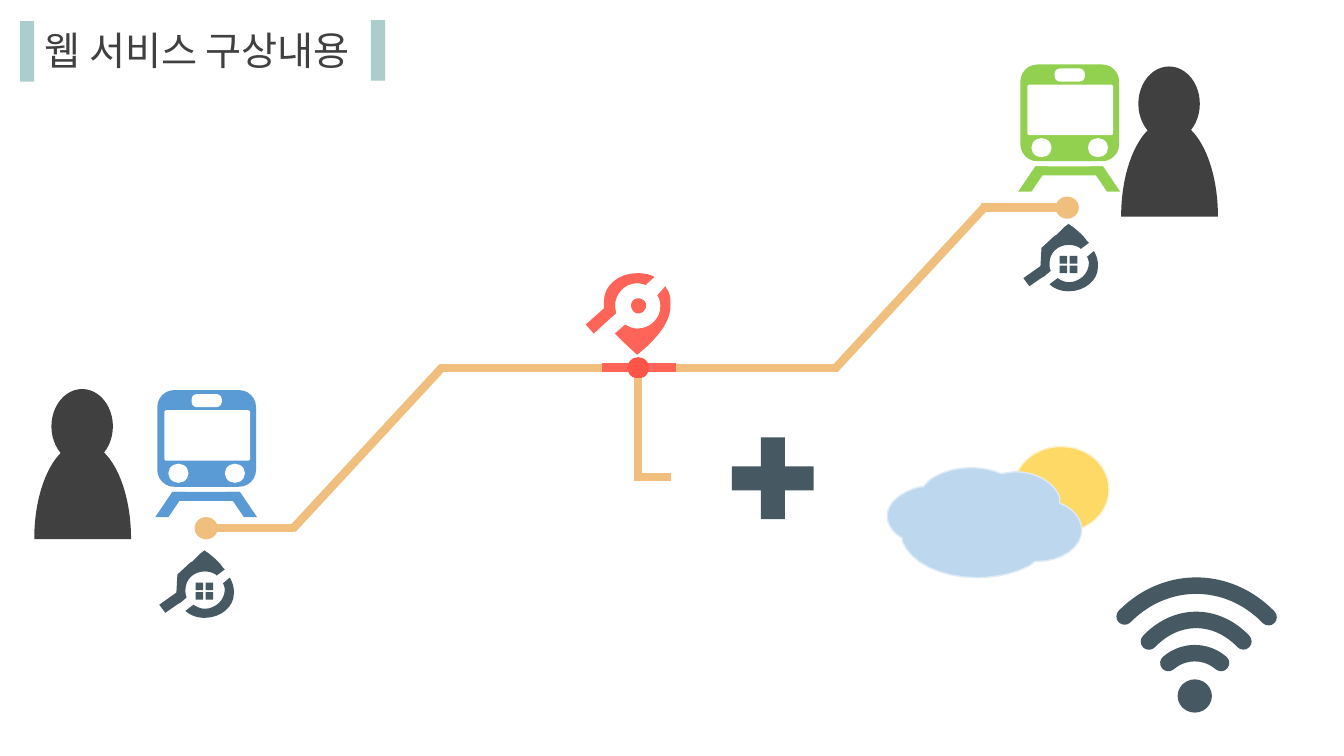
from lxml import etree
from pptx import Presentation
from pptx.dml.color import RGBColor
from pptx.enum.shapes import MSO_CONNECTOR, MSO_SHAPE
from pptx.enum.text import MSO_AUTO_SIZE
from pptx.oxml.ns import qn
from pptx.util import Inches, Pt

FONT = "Noto Sans CJK KR"
COLORS = {
    "bar": "ABCDCC", "dark": "404040", "white": "FFFFFF", "blue": "5B9BD5",
    "green": "92D050", "route": "F1BF7D", "pin": "FF6458", "stop": "FF5548",
    "slate": "465861", "sun": "FFD966", "sun_edge": "FFF2CC",
    "cloud": "BDD7EE", "cloud_edge": "DEEBF7",
}

# Outlines in hundredths of an inch, measured from the top left of each icon
PANES = " ".join(
    f"M {x} {y} L {x + 7.5} {y} L {x + 7.5} {y + 7.5} L {x} {y + 7.5} Z"
    for y in (32, 41.5) for x in (36, 46))
HOUSE = PANES + """
M 70 27 L 71 29 C 73 33 74 37 74 41 L 74 43 C 74 56 61 67 45 67
C 38 67 32 65 27 61 L 26 60 L 34 54 C 37 56 41 58 45 58
C 56 58 65 49 65 39 C 65 37 64 35 64 34 L 63 33 Z
M 45 0 L 46 1 L 49 3 C 55 8 60 12 63 17 L 65 19 L 57 25 L 56 24
C 53 22 49 21 45 21 C 34 21 26 29 26 39 C 26 42 26 44 27 46 L 27 47
L 21 52 L 19 53 L 6 62 L 0 54 L 17 42 L 18 24 L 31 12 L 33 11
C 35 9 37 7 39 5 L 41 3 Z"""
PIN = """
M 52 25 C 56 25 60 28 60 32 C 60 36 56 40 52 40
C 48 40 45 36 45 32 C 45 28 48 25 52 25 Z
M 79 13 L 80 15 C 83 19 84 23 84 28 L 84 31 C 85 44 76 61 51 81
C 42 73 35 66 29 60 L 39 51 L 41 52 C 44 54 48 55 51 55
C 64 55 74 45 74 33 C 74 29 73 25 71 22 Z
M 51 0 C 57 0 62 1 67 3 L 68 4 L 59 12 L 58 11 C 56 11 54 10 51 10
C 39 10 29 20 29 33 C 29 35 30 37 30 39 L 30 40 L 22 47 L 8 60 L 0 51
L 18 35 C 18 34 18 32 18 31 L 18 28 C 18 12 33 0 51 0 Z"""
CLOUD = """
M 83 0 C 93 0 103 2 111 5 L 113 6 L 118 5 C 121 5 124 4 127 4
C 148 4 166 15 171 29 L 171 35 L 173 36 C 185 41 193 51 193 62
C 193 79 173 93 148 93 L 146 93 L 143 96 C 129 104 110 109 89 109
C 53 109 23 94 15 73 L 15 70 L 9 66 C 4 61 0 55 0 48
C 0 35 13 24 32 19 L 36 19 L 40 14 C 49 6 65 0 83 0 Z"""


def rgb(name):
    return RGBColor.from_string(COLORS[name])


def style(sp, fill=None, line=None, width=1):
    sp.shadow.inherit = False
    if fill:
        sp.fill.solid()
        sp.fill.fore_color.rgb = rgb(fill)
    else:
        sp.fill.background()
    if line:
        sp.line.color.rgb = rgb(line)
        sp.line.width = Pt(width)
    else:
        sp.line.fill.background()
    return sp


def add_preset(shapes, kind, x, y, w, h, fill=None, adj=(), line=None, width=1):
    sp = shapes.add_shape(kind, Inches(x), Inches(y), Inches(w), Inches(h))
    for i, value in enumerate(adj):
        sp.adjustments[i] = value
    return style(sp, fill, line, width)


def add_line(shapes, x1, y1, x2, y2, color="route", width=6):
    cn = shapes.add_connector(MSO_CONNECTOR.STRAIGHT, Inches(x1), Inches(y1),
                              Inches(x2), Inches(y2))
    cn.line.color.rgb = rgb(color)
    cn.line.width = Pt(width)
    etree.SubElement(cn._element.spPr, qn("a:effectLst"))


def read_outline(outline, steps=8):
    """Return the closed contours of an outline, with curves as short segments."""
    contours, tokens = [], iter(outline.split())
    for command in tokens:
        if command == "Z":
            continue
        count = 3 if command == "C" else 1
        pts = [(float(next(tokens)), float(next(tokens))) for _ in range(count)]
        if command == "M":
            contours.append(pts)
        elif command == "L":
            contours[-1] += pts
        else:
            bezier = [contours[-1][-1]] + pts
            for i in range(1, steps + 1):
                t = i / steps
                weights = ((1 - t) ** 3, 3 * t * (1 - t) ** 2, 3 * t * t * (1 - t), t ** 3)
                contours[-1].append(tuple(
                    sum(k * p[axis] for k, p in zip(weights, bezier)) for axis in (0, 1)))
    return contours


def add_outline(shapes, outline, x, y, fill, line=None):
    unit = Inches(0.01)
    contours = [[(px * unit, py * unit) for px, py in c] for c in read_outline(outline)]
    builder = shapes.build_freeform(*contours[0][0])
    for i, contour in enumerate(contours):
        if i:
            builder.move_to(*contour[0])
        builder.add_line_segments(contour[1:], close=True)
    style(builder.convert_to_shape(Inches(x), Inches(y)), fill, line)


def title(s, x, y):
    for dx, dy in ((0, 0.01), (3.48, 0)):
        add_preset(s.shapes, MSO_SHAPE.RECTANGLE, x + dx, y + dy, 0.14, 0.6, "bar")
    box = s.shapes.add_textbox(Inches(x + 0.14), Inches(y + 0.01), Inches(3.38), Inches(0.57))
    tf = box.text_frame
    tf.word_wrap = False
    tf.auto_size = MSO_AUTO_SIZE.SHAPE_TO_FIT_TEXT
    r = tf.paragraphs[0].add_run()
    r.text = "웹 서비스 구상내용"
    r.font.size = Pt(28)
    r.font.name = FONT
    r.font.color.rgb = rgb("dark")
    etree.SubElement(r._r.get_or_add_rPr(), qn("a:ea")).set("typeface", FONT)


def person(s, x, y):
    g = s.shapes.add_group_shape().shapes
    add_preset(g, MSO_SHAPE.CHORD, x, y + 0.53, 0.96, 1.91, "dark", (107.747, 0.211))
    add_preset(g, MSO_SHAPE.OVAL, x + 0.17, y, 0.61, 0.74, "dark")


def train(s, x, y, color):
    g = s.shapes.add_group_shape().shapes
    for dx, dy, w, h, fill, adj in (
            (0.02, 0, 0.98, 0.96, color, 0.176),
            (0.36, 0.04, 0.3, 0.13, "white", 0.4),
            (0.09, 0.2, 0.85, 0.5, "white", 0.039)):
        add_preset(g, MSO_SHAPE.ROUNDED_RECTANGLE, x + dx, y + dy, w, h, fill, (adj,))
    for dx in (0.13, 0.69):
        add_preset(g, MSO_SHAPE.OVAL, x + dx, y + 0.73, 0.2, 0.19, "white")
    add_preset(g, MSO_SHAPE.RECTANGLE, x + 0.17, y + 1.01, 0.67, 0.09, color)
    for dx, flip in ((0, "0"), (0.71, "1")):
        leg = add_preset(g, MSO_SHAPE.PARALLELOGRAM, x + dx, y + 1.01, 0.3, 0.25,
                         color, (0.677,))
        leg._element.spPr.get_or_add_xfrm().set("flipH", flip)


def route_half(s, slope, level, platform, dot_x):
    """Draw a slope, the level stretch to the middle and the platform with its dot."""
    g = s.shapes.add_group_shape().shapes
    for segment in (slope, level, platform):
        add_line(g, *segment)
    add_preset(g, MSO_SHAPE.OVAL, dot_x, platform[1] - 0.11, 0.23, 0.22, "route")


def meeting_point(s, x, y):
    """Draw the pin, the red stop centred on x, y and the branch below it."""
    add_outline(s.shapes, PIN, x - 0.52, y - 0.94, "pin")
    add_line(s.shapes, x - 0.36, y, x + 0.37, y, "pin", 6.5)
    add_preset(s.shapes, MSO_SHAPE.OVAL, x - 0.1, y - 0.1, 0.2, 0.2, "stop", line="stop")
    add_line(s.shapes, x, y + 0.1, x, y + 1.09)
    add_line(s.shapes, x - 0.04, y + 1.08, x + 0.33, y + 1.08)


def weather(s, x, y):
    g = s.shapes.add_group_shape().shapes
    add_preset(g, MSO_SHAPE.OVAL, x + 1.25, y, 0.95, 0.85, "sun", line="sun_edge")
    add_outline(g, CLOUD, x, y + 0.21, "cloud", "cloud_edge")


def wifi(s, x, y):
    g = s.shapes.add_group_shape().shapes
    add_preset(g, MSO_SHAPE.OVAL, x + 0.87, y + 0.93, 0.34, 0.33, "slate")
    for dx, dy, w, h, adj in (
            (0.6, 0.67, 0.88, 1, (142.154, 181.784)),
            (0.32, 0.34, 1.47, 1.87, (142.154, 181.784)),
            (0, 0, 2.11, 2.35, (138.43, 185.867))):
        wave = add_preset(g, MSO_SHAPE.ARC, x + dx, y + dy, w, h,
                          adj=adj, line="slate", width=11.75)
        wave.line._get_or_add_ln().set("cap", "rnd")


def main():
    prs = Presentation()
    prs.slide_width, prs.slide_height = Inches(13.33), Inches(7.5)
    s = prs.slides.add_slide(prs.slide_layouts[6])
    title(s, 0.2, 0.2)
    person(s, 11.12, 0.66)
    train(s, 1.54, 3.87, "blue")
    person(s, 0.34, 3.86)
    train(s, 10.1, 0.64, "green")
    route_half(s, (8.28, 3.66, 9.77, 2.05), (6.7, 3.65, 8.31, 3.65),
               (10.61, 2.06, 9.73, 2.06), 10.47)
    route_half(s, (2.9, 5.25, 4.39, 3.64), (4.36, 3.65, 5.97, 3.65),
               (2.92, 5.24, 2.04, 5.24), 1.93)
    meeting_point(s, 6.33, 3.65)
    for x, y in ((1.58, 5.46), (10.15, 2.22)):
        add_outline(s.shapes, HOUSE, x, y, "slate")
    add_preset(s.shapes, MSO_SHAPE.CROSS, 7.26, 4.34, 0.81, 0.81, "slate", (0.353,))
    weather(s, 8.8, 4.43)
    wifi(s, 10.81, 5.81)
    prs.save("out.pptx")


if __name__ == "__main__":
    main()
